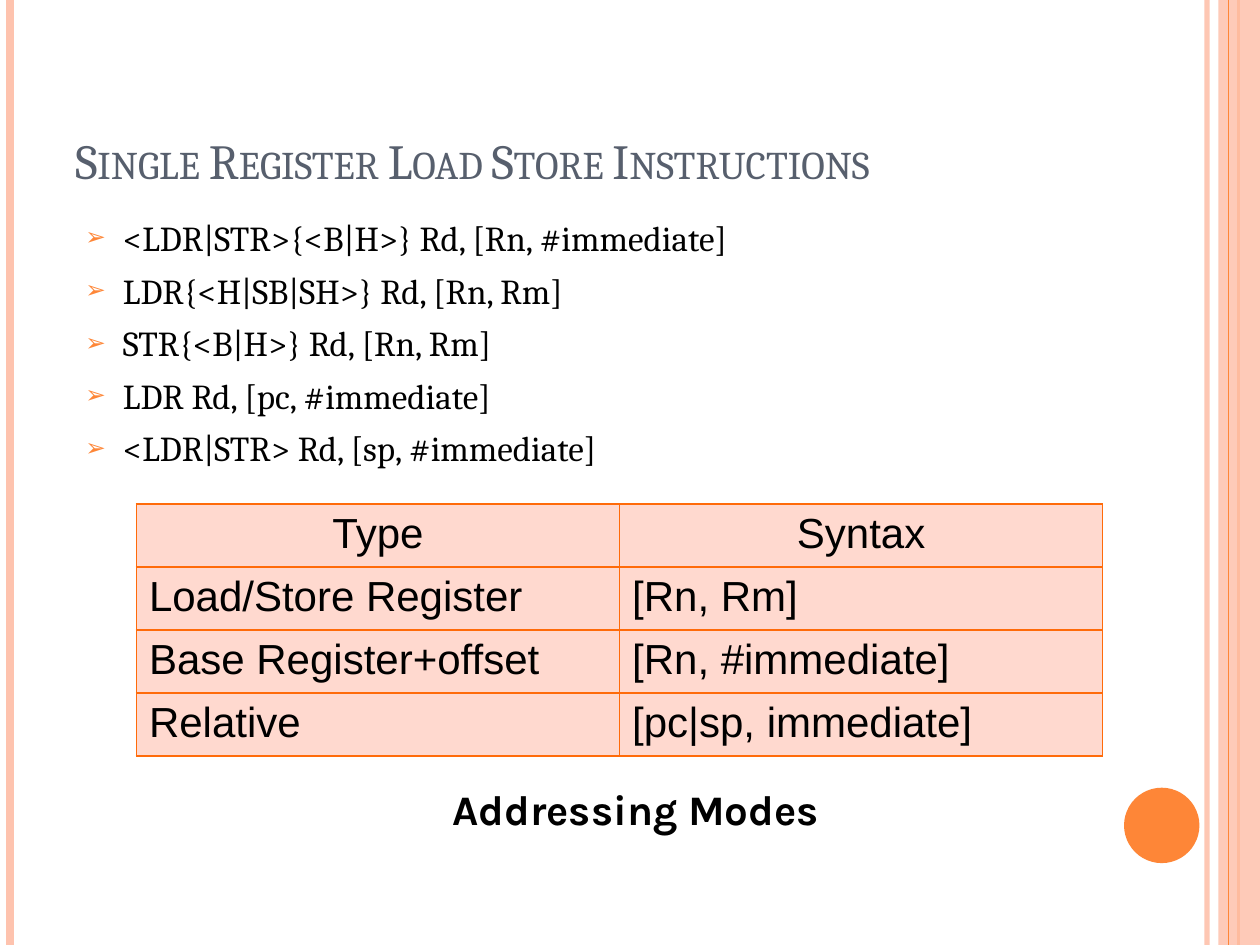
"""Builds the slide on single register load and store instructions."""
from lxml.etree import SubElement
from pptx import Presentation
from pptx.dml.color import RGBColor
from pptx.enum.shapes import MSO_CONNECTOR as Connector, MSO_SHAPE as Shape
from pptx.enum.text import MSO_ANCHOR as Anchor, PP_ALIGN as Align
from pptx.oxml.ns import qn
from pptx.util import Cm, Pt

WIDTH, HEIGHT = 25.4, 19.05
ORANGE, PINK, BORDER, CELL = "FE8637", "FEC3AE", "FF6B0A", "FFD9CF"
TITLE_FORMAT = {"name": "Cambria", "size": Pt(28), "color": "575F6D"}
BODY_FORMAT = {"name": "Cambria", "size": Pt(20), "color": "000000"}
TABLE_FORMAT = {"name": "Arial", "size": Pt(24), "color": "000000"}
CAPTION_FORMAT = {"name": "Karla", "size": Pt(24), "bold": True, "color": "000000"}
INSTRUCTIONS = [
    "<LDR|STR>{<B|H>} Rd, [Rn, #immediate]",
    "LDR{<H|SB|SH>} Rd, [Rn, Rm]",
    "STR{<B|H>} Rd, [Rn, Rm]",
    "LDR Rd, [pc, #immediate]",
    "<LDR|STR> Rd, [sp, #immediate]",
]
ADDRESSING_MODES = [
    ("Type", "Syntax"),
    ("Load/Store Register", "[Rn, Rm]"),
    ("Base Register+offset", "[Rn, #immediate]"),
    ("Relative", "[pc|sp, immediate]"),
]


def color(value):
    """Return the colour for a hex string."""
    return RGBColor.from_string(value)


def add_element(parent, tag, **attributes):
    """Append an XML element with the given attributes."""
    element = SubElement(parent, qn(tag))
    for name, value in attributes.items():
        element.set(name, str(value))
    return element


def set_alpha(shape, percent):
    """Set the opacity of the first colour of a shape."""
    rgb = next(shape._element.spPr.iter(qn("a:srgbClr")))
    add_element(rgb, "a:alpha", val=percent * 1000)


def add_rule(slide, x, line_color, width):
    """Add a vertical line over the full height of the slide."""
    rule = slide.shapes.add_connector(Connector.STRAIGHT, Cm(x), 0, Cm(x), Cm(HEIGHT))
    rule.line.color.rgb = color(line_color)
    rule.line.width = Pt(width)
    add_element(rule._element.spPr, "a:effectLst")
    return rule


def add_plain_shape(slide, kind, box, fill_color):
    """Add a filled shape without outline or shadow."""
    shape = slide.shapes.add_shape(kind, *map(Cm, box))
    shape.shadow.inherit = False
    shape.fill.solid()
    shape.fill.fore_color.rgb = color(fill_color)
    shape.line.fill.background()
    return shape


def write(paragraph, text, formats, align=Align.LEFT):
    """Write one formatted run into a paragraph."""
    paragraph.alignment = align
    run = paragraph.add_run()
    run.text = text
    for name, value in formats.items():
        if name == "color":
            run.font.color.rgb = color(value)
        else:
            setattr(run.font, name, value)
    return run


def add_text_frame(slide, box, anchor=Anchor.TOP):
    """Add a wrapping text box and return its text frame."""
    frame = slide.shapes.add_textbox(*map(Cm, box)).text_frame
    frame.word_wrap = True
    frame.vertical_anchor = anchor
    return frame


def add_title(slide, text):
    """Add the title in small capitals."""
    frame = add_text_frame(slide, (1.27, 0.76, 22.86, 3.18), Anchor.BOTTOM)
    run = write(frame.paragraphs[0], text, TITLE_FORMAT)
    run._r.get_or_add_rPr().set("cap", "small")


def add_bullet(paragraph):
    """Give a paragraph an arrow bullet with a hanging indent."""
    paragraph.space_before = Pt(6)
    properties = paragraph._p.get_or_add_pPr()
    properties.set("marL", str(Cm(0.76)))
    properties.set("indent", str(Cm(-0.76)))
    add_element(add_element(properties, "a:buClr"), "a:srgbClr", val=ORANGE)
    add_element(properties, "a:buSzPct", val=70000)
    add_element(properties, "a:buFont", typeface="Arial")
    add_element(properties, "a:buChar", char="➢")


def add_instructions(slide, lines):
    """Add the bulleted list of instructions."""
    frame = add_text_frame(slide, (1.47, 4.24, 21.39, 5.28))
    for index, line in enumerate(lines):
        paragraph = frame.add_paragraph() if index else frame.paragraphs[0]
        write(paragraph, line, BODY_FORMAT)
        add_bullet(paragraph)


def format_cell(cell):
    """Draw the borders of a cell and fill it."""
    properties = cell._tc.get_or_add_tcPr()
    for side in ("a:lnL", "a:lnR", "a:lnT", "a:lnB"):
        line = add_element(properties, side, w=Pt(1))
        add_element(add_element(line, "a:solidFill"), "a:srgbClr", val=BORDER)
    cell.fill.solid()
    cell.fill.fore_color.rgb = color(CELL)


def add_mode_table(slide, rows):
    """Add the table of addressing modes with a centred header."""
    box = (2.75, 10.16, 19.48, 1.2 * len(rows))
    table = slide.shapes.add_table(len(rows), len(rows[0]), *map(Cm, box)).table
    for row_index, row in enumerate(rows):
        align = Align.LEFT if row_index else Align.CENTER
        for column_index, text in enumerate(row):
            cell = table.cell(row_index, column_index)
            write(cell.text_frame.paragraphs[0], text, TABLE_FORMAT, align)
            format_cell(cell)


def add_decoration(slide):
    """Add the side stripes and the dot."""
    set_alpha(add_rule(slide, 24.33, PINK, 3), 93)
    add_rule(slide, 0.2, PINK, 4.5)
    add_rule(slide, 24.97, ORANGE, 1.5)
    band = add_plain_shape(slide, Shape.RECTANGLE, (24.56, 0, WIDTH - 24.56, HEIGHT), PINK)
    set_alpha(band, 87)
    add_rule(slide, 24.76, ORANGE, 0.75)
    add_plain_shape(slide, Shape.OVAL, (22.66, 15.88, 1.52, 1.52), ORANGE)


def main():
    """Build and save the presentation."""
    presentation = Presentation()
    presentation.slide_width, presentation.slide_height = Cm(WIDTH), Cm(HEIGHT)
    slide = presentation.slides.add_slide(presentation.slide_layouts[6])
    add_decoration(slide)
    add_title(slide, "Single Register Load Store Instructions")
    add_instructions(slide, INSTRUCTIONS)
    add_mode_table(slide, ADDRESSING_MODES)
    caption = add_text_frame(slide, (6.25, 15.67, 13.13, 1.27))
    write(caption.paragraphs[0], "Addressing Modes", CAPTION_FORMAT, Align.CENTER)
    presentation.save("out.pptx")


if __name__ == "__main__":
    main()
